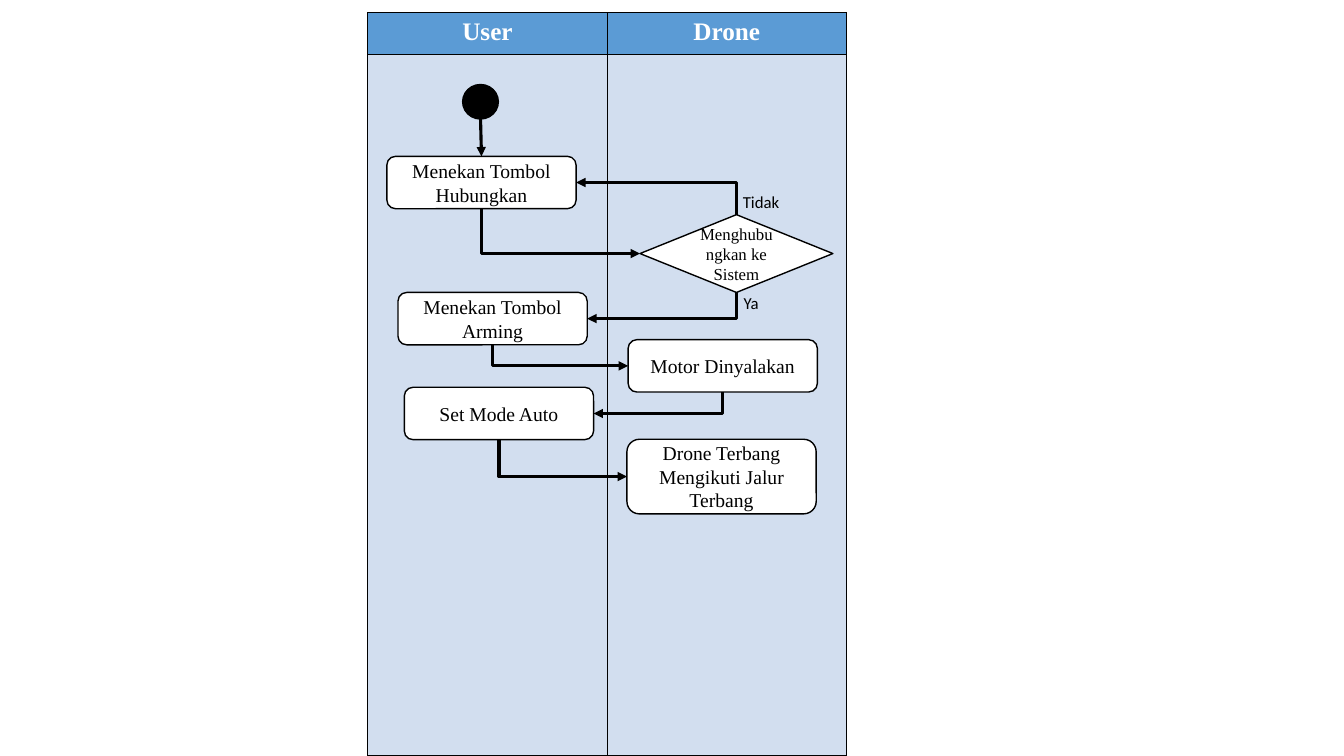
from dataclasses import dataclass

from lxml import etree
from pptx import Presentation
from pptx import util as u
from pptx.dml.color import RGBColor
from pptx.enum import shapes, text
from pptx.oxml import ns

# Content: lengths in centimetres
LANES = ["User", "Drone"]
LANE_LEFT, LANE_TOP, LANE_WIDTH, ROW_HEIGHTS = 9.27, 0.32, 6.03, (1.06, 17.67)
START = (11.66, 2.13, 0.9, 0.87)
STEP_WIDTH, STEP_HEIGHT = 4.77, 1.32

# name: (text, left, top, format changes)
STEPS = {
    "connect": ("Menekan Tombol Hubungkan", 9.75, 3.94, {}),
    "decision": ("Menghubungkan ke Sistem", 16.13, 5.41,
                 {"preset": "DIAMOND", "width": 4.86, "height": 1.96, "size": 12}),
    "arming": ("Menekan Tombol Arming", 10.03, 7.37, {}),
    "motor": ("Motor Dinyalakan", 15.83, 8.56, {}),
    "auto": ("Set Mode Auto", 10.19, 9.76, {}),
    "fly": ("Drone Terbang Mengikuti Jalur Terbang", 15.8, 11.07, {"height": 1.88}),
}
TOP, LEFT, BOTTOM, RIGHT = range(4)
FLOWS = [
    ("connect", BOTTOM, "decision", LEFT),
    ("decision", TOP, "connect", RIGHT),
    ("decision", BOTTOM, "arming", RIGHT),
    ("arming", BOTTOM, "motor", LEFT),
    ("motor", BOTTOM, "auto", RIGHT),
    ("auto", BOTTOM, "fly", LEFT),
]
BRANCHES = [("Tidak", 18.47, 4.7), ("Ya", 18.49, 7.26)]
BRANCH_SIZE = (2.08, 0.76)


@dataclass(frozen=True)
class Theme:
    ink: str = "000000"
    paper: str = "FFFFFF"
    header: str = "5B9BD5"
    lane: str = "D2DEEF"
    serif: str = "Times New Roman"
    sans: str = "Calibri"
    header_size: int = 18
    step_size: int = 14
    branch_size: int = 12
    outline: float = 1
    arrow: float = 2.25


THEME = Theme()


def color(value):
    return RGBColor.from_string(value)


def box(*lengths):
    return [u.Cm(length) for length in lengths]


def write(frame, words, font=THEME.serif, size=THEME.step_size, ink=THEME.ink,
          bold=False, align=text.PP_ALIGN.CENTER, anchor=None):
    frame.word_wrap = True
    if anchor is not None:
        frame.vertical_anchor = anchor
    paragraph = frame.paragraphs[0]
    paragraph.alignment = align
    run = paragraph.add_run()
    run.text = words
    run.font.name, run.font.size, run.font.bold = font, u.Pt(size), bold
    run.font.color.rgb = color(ink)


def add_node(slide, preset, place, fill):
    shape = slide.shapes.add_shape(preset, *box(*place))
    shape.shadow.inherit = False
    shape.fill.solid()
    shape.fill.fore_color.rgb = color(fill)
    shape.line.color.rgb = color(THEME.ink)
    shape.line.width = u.Pt(THEME.outline)
    return shape


def paint_cell(cell, fill):
    cell.fill.solid()
    cell.fill.fore_color.rgb = color(fill)
    properties = cell._tc.get_or_add_tcPr()
    for index, side in enumerate(("lnL", "lnR", "lnT", "lnB")):
        border = etree.Element(ns.qn(f"a:{side}"), w=str(u.Pt(THEME.outline)))
        solid = etree.SubElement(border, ns.qn("a:solidFill"))
        etree.SubElement(solid, ns.qn("a:srgbClr"), val=THEME.ink)
        properties.insert(index, border)


def style_arrow(connector):
    connector.line.color.rgb = color(THEME.ink)
    connector.line.width = u.Pt(THEME.arrow)
    etree.SubElement(connector.line._get_or_add_ln(), ns.qn("a:tailEnd"), type="triangle")
    etree.SubElement(connector._element.spPr, ns.qn("a:effectLst"))


def add_bent_arrow(slide, source, source_side, target, target_side):
    """Run vertically out of the source, then horizontally into the target."""
    connector = slide.shapes.add_connector(shapes.MSO_CONNECTOR.ELBOW, 0, 0, 0, 0)
    connector.begin_connect(source, source_side)
    connector.end_connect(target, target_side)
    x1, y1 = connector.begin_x, connector.begin_y
    x2, y2 = connector.end_x, connector.end_y
    # A quarter turn swaps width and height around the same centre
    width, height = abs(y2 - y1), abs(x2 - x1)
    connector.left, connector.top = (x1 + x2 - width) // 2, (y1 + y2 - height) // 2
    connector.width, connector.height = width, height
    properties = connector._element.spPr
    properties.find(ns.qn("a:prstGeom")).set("prst", "bentConnector2")
    frame = properties.find(ns.qn("a:xfrm"))
    frame.set("rot", str(270 * 60000))
    frame.set("flipH", str(int(y2 > y1)))
    frame.set("flipV", str(int(x2 < x1)))
    style_arrow(connector)


def main():
    presentation = Presentation()
    presentation.slide_width, presentation.slide_height = box(33.87, 19.05)
    slide = presentation.slides.add_slide(presentation.slide_layouts[6])

    # Swimlanes
    table = slide.shapes.add_table(
        len(ROW_HEIGHTS), len(LANES),
        *box(LANE_LEFT, LANE_TOP, LANE_WIDTH * len(LANES), sum(ROW_HEIGHTS))).table
    for row, height in zip(table.rows, ROW_HEIGHTS):
        row.height = u.Cm(height)
    for index, lane in enumerate(LANES):
        table.columns[index].width = u.Cm(LANE_WIDTH)
        write(table.cell(0, index).text_frame, lane, size=THEME.header_size,
              ink=THEME.paper, bold=True)
        paint_cell(table.cell(0, index), THEME.header)
        paint_cell(table.cell(1, index), THEME.lane)

    # Start point and steps
    add_node(slide, shapes.MSO_SHAPE.OVAL, START, THEME.ink)
    nodes = {}
    for name, (words, left, top, changes) in STEPS.items():
        preset = shapes.MSO_SHAPE[changes.get("preset", "ROUNDED_RECTANGLE")]
        place = (left, top, changes.get("width", STEP_WIDTH),
                 changes.get("height", STEP_HEIGHT))
        nodes[name] = add_node(slide, preset, place, THEME.paper)
        write(nodes[name].text_frame, words, size=changes.get("size", THEME.step_size),
              anchor=text.MSO_ANCHOR.MIDDLE)

    # Arrows
    left, top, width, height = START
    first = slide.shapes.add_connector(
        shapes.MSO_CONNECTOR.STRAIGHT, *box(left + width / 2, top + height, 0, 0))
    first.end_connect(nodes["connect"], TOP)
    style_arrow(first)
    for source, source_side, target, target_side in FLOWS:
        add_bent_arrow(slide, nodes[source], source_side, nodes[target], target_side)

    # Branch labels
    for words, left, top in BRANCHES:
        label = slide.shapes.add_textbox(*box(left, top, *BRANCH_SIZE))
        write(label.text_frame, words, font=THEME.sans, size=THEME.branch_size,
              align=text.PP_ALIGN.LEFT)
        label.text_frame.auto_size = text.MSO_AUTO_SIZE.SHAPE_TO_FIT_TEXT

    presentation.save("out.pptx")


if __name__ == "__main__":
    main()
